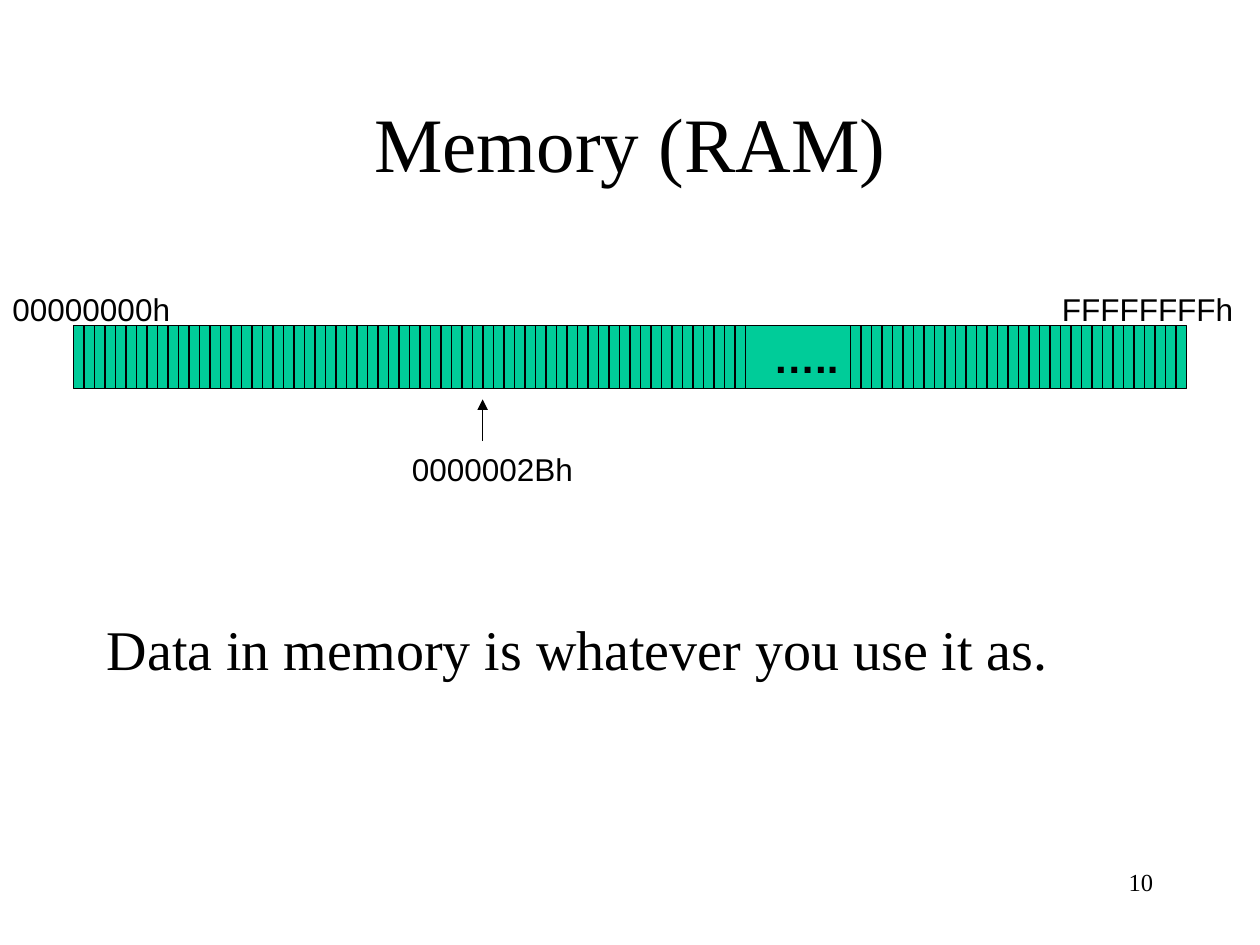
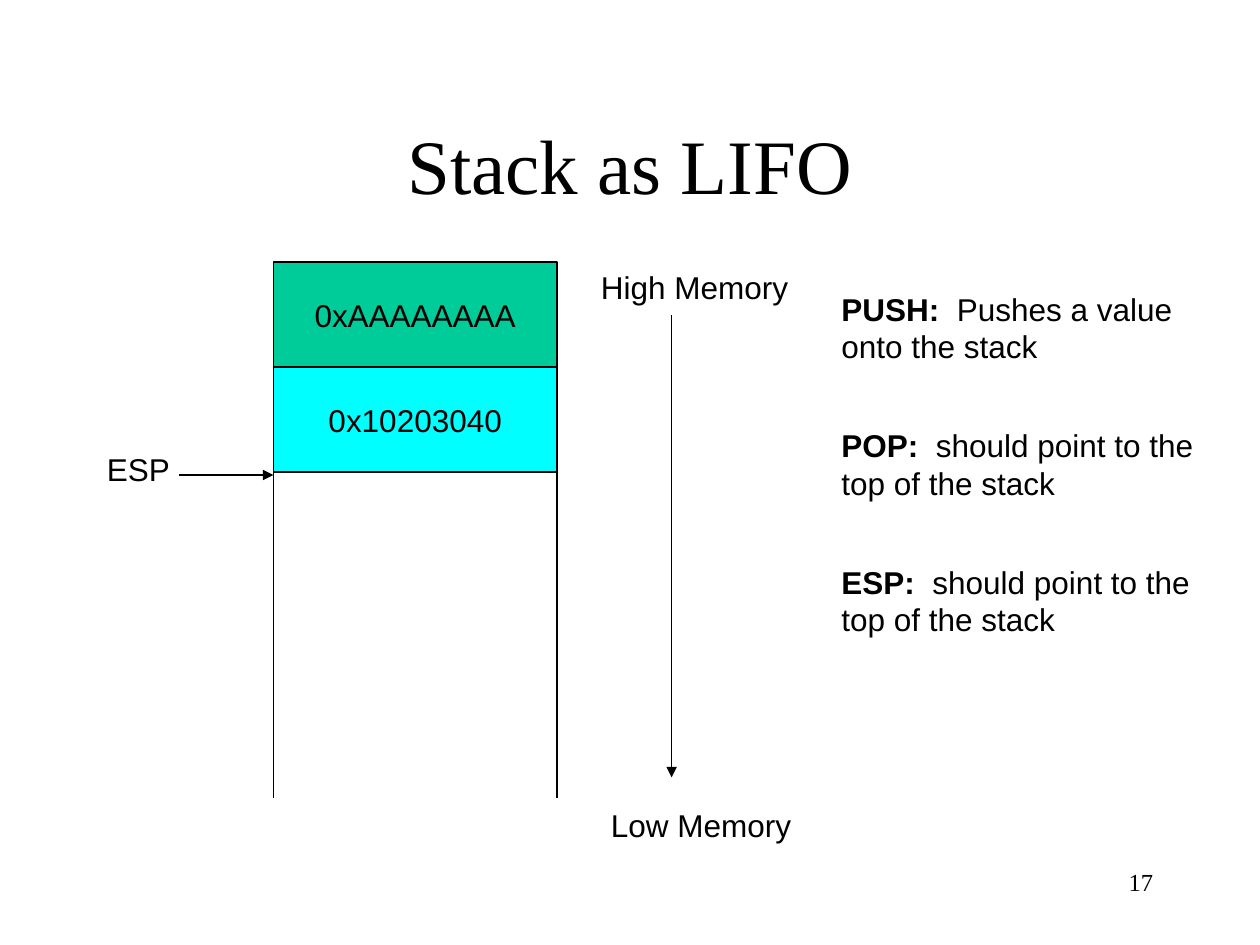
from dataclasses import dataclass
from itertools import chain
from typing import Any, Optional

from lxml import etree
from pptx import Presentation
from pptx import util as u
from pptx.dml import color
from pptx.enum import shapes, text
from pptx.oxml import ns


@dataclass(frozen=True)
class Theme:
    ink: str = "000000"
    paper: str = "FFFFFF"
    green: str = "00CC99"
    cyan: str = "00FFFF"
    serif: str = "Times New Roman"
    sans: str = "Arial"
    title_size: int = 44
    body_size: int = 32
    dots_size: int = 24
    label_size: int = 18
    number_size: int = 14
    line_width: float = 0.75


THEME = Theme()
LEFT, CENTER, RIGHT = text.PP_ALIGN.LEFT, text.PP_ALIGN.CENTER, text.PP_ALIGN.RIGHT


@dataclass(frozen=True)
class Area:
    left: float
    top: float
    width: float
    height: float

    def lengths(self) -> list[int]:
        return [u.Inches(n) for n in (self.left, self.top, self.width, self.height)]


@dataclass(frozen=True)
class Style:
    size: int = THEME.label_size
    font: str = THEME.sans
    align: Any = LEFT
    middle: bool = False
    bold: bool = False
    inset_left: float = 0.1


@dataclass(frozen=True)
class Label:
    area: Area
    words: str
    style: Style = Style()
    lead: str = ""  # bold opening words


@dataclass(frozen=True)
class Block:
    label: Label
    fill: str


@dataclass(frozen=True)
class Line:
    x1: float
    y1: float
    x2: float
    y2: float
    arrow: bool = False


TITLE = Style(THEME.title_size, THEME.serif, CENTER, middle=True)
BODY = Style(THEME.body_size, THEME.serif)
NUMBER = Style(THEME.number_size, THEME.serif, RIGHT)
CELL = Style(align=CENTER, middle=True)


def apply(target: Any, values: dict[str, Any]) -> None:
    for name, value in values.items():
        setattr(target, name, value)


def rgb(value: str) -> color.RGBColor:
    return color.RGBColor.from_string(value)


def write(shape: Any, label: Label) -> None:
    style = label.style
    apply(shape.text_frame, {
        "word_wrap": True,
        "vertical_anchor": text.MSO_ANCHOR.MIDDLE if style.middle else text.MSO_ANCHOR.TOP,
        "margin_left": u.Inches(style.inset_left),
        "margin_right": u.Inches(0.1),
        "margin_top": u.Inches(0.05),
        "margin_bottom": u.Inches(0.05),
    })
    paragraph = shape.text_frame.paragraphs[0]
    paragraph.alignment = style.align
    for words, bold in ((label.lead, True), (label.words, style.bold)):
        if words:
            run = paragraph.add_run()
            run.text = words
            apply(run.font, {"name": style.font, "size": u.Pt(style.size), "bold": bold})
            run.font.color.rgb = rgb(THEME.ink)


def draw_label(slide: Any, label: Label) -> None:
    write(slide.shapes.add_textbox(*label.area.lengths()), label)


def draw_ink(line: Any) -> None:
    line.color.rgb = rgb(THEME.ink)
    line.width = u.Pt(THEME.line_width)


def draw_block(slide: Any, block: Block) -> None:
    shape = slide.shapes.add_shape(shapes.MSO_SHAPE.RECTANGLE, *block.label.area.lengths())
    shape.shadow.inherit = False
    shape.fill.solid()
    shape.fill.fore_color.rgb = rgb(block.fill)
    draw_ink(shape.line)
    write(shape, block.label)


def draw_line(slide: Any, line: Line) -> None:
    ends = [u.Inches(n) for n in (line.x1, line.y1, line.x2, line.y2)]
    connector = slide.shapes.add_connector(shapes.MSO_CONNECTOR.STRAIGHT, *ends)
    draw_ink(connector.line)
    if line.arrow:
        outline = connector.line._get_or_add_ln()
        etree.SubElement(outline, ns.qn("a:tailEnd"), type="triangle")
    etree.SubElement(connector._element.spPr, ns.qn("a:effectLst"))


def start_slide(presentation: Any, title: str, title_top: float, number: Optional[int]) -> Any:
    slide = presentation.slides.add_slide(presentation.slide_layouts[6])
    slide.background.fill.solid()
    slide.background.fill.fore_color.rgb = rgb(THEME.paper)
    draw_label(slide, Label(Area(0.75, title_top, 8.5, 1.25), title, TITLE))
    draw_label(slide, Label(Area(7.17, 6.83, 2.08, 0.5), str(number), NUMBER))
    return slide


def build_memory(presentation: Any) -> None:
    slide = start_slide(presentation, "Memory (RAM)", 0.5, 10)
    draw_label(slide, Label(Area(0.75, 4.83, 8.5, 0.67),
                            "Data in memory is whatever you use it as.", BODY))

    # Memory bar: one byte is a twelfth of an inch, with a gap for the dots
    bar = Area(7 / 12, 31 / 12, 106 / 12, 0.5)
    dots = Style(THEME.dots_size, align=CENTER, middle=True, bold=True, inset_left=2.89)
    draw_block(slide, Block(Label(bar, "…..", dots), THEME.green))
    for byte in chain(range(1, 65), range(74, 106)):
        x = bar.left + byte / 12
        draw_line(slide, Line(x, bar.top, x, bar.top + bar.height))

    # Addresses
    for left, top, address in ((0, 2.25, "00000000h"), (8.33, 2.25, "FFFFFFFFh"),
                               (3.17, 3.52, "0000002Bh")):
        draw_label(slide, Label(Area(left, top, 1.92, 0.4), address))
    draw_line(slide, Line(3.83, 3.5, 3.83, 3.17, arrow=True))


def build_stack(presentation: Any) -> None:
    slide = start_slide(presentation, "Stack as LIFO", 0.67, 17)

    # Stack cells and the open rails below them
    left, top, width, height = 2.17, 2.08, 2.25, 5 / 6
    cells = (("0xAAAAAAAA", THEME.green), ("0x10203040", THEME.cyan))
    for row, (value, fill) in enumerate(cells):
        area = Area(left, top + row * height, width, height)
        draw_block(slide, Block(Label(area, value, CELL), fill))
    for x in (left, left + width):
        draw_line(slide, Line(x, 3.33, x, 6.33))

    # Stack pointer and memory direction
    for label in (Label(Area(0.75, 3.52, 0.75, 0.4), "ESP"),
                  Label(Area(4.67, 2.08, 1.75, 0.4), "High Memory"),
                  Label(Area(4.75, 6.35, 1.75, 0.4), "Low Memory")):
        draw_label(slide, label)
    draw_line(slide, Line(1.42, 3.77, left, 3.77, arrow=True))
    draw_line(slide, Line(5.33, 2.5, 5.33, 6.17, arrow=True))

    # Definitions
    definitions = (("PUSH: ", " Pushes a value onto the stack"),
                   ("POP: ", " should point to the top of the stack"),
                   ("ESP: ", " should point to the top of the stack"))
    for row, (term, meaning) in enumerate(definitions):
        area = Area(6.58, 2.25 + row * 13 / 12, 3.17, 0.7)
        draw_label(slide, Label(area, meaning, lead=term))


def main() -> None:
    presentation = Presentation()
    apply(presentation, {"slide_width": u.Inches(10), "slide_height": u.Inches(7.5)})
    build_memory(presentation)
    build_stack(presentation)
    presentation.save("out.pptx")


if __name__ == "__main__":
    main()
